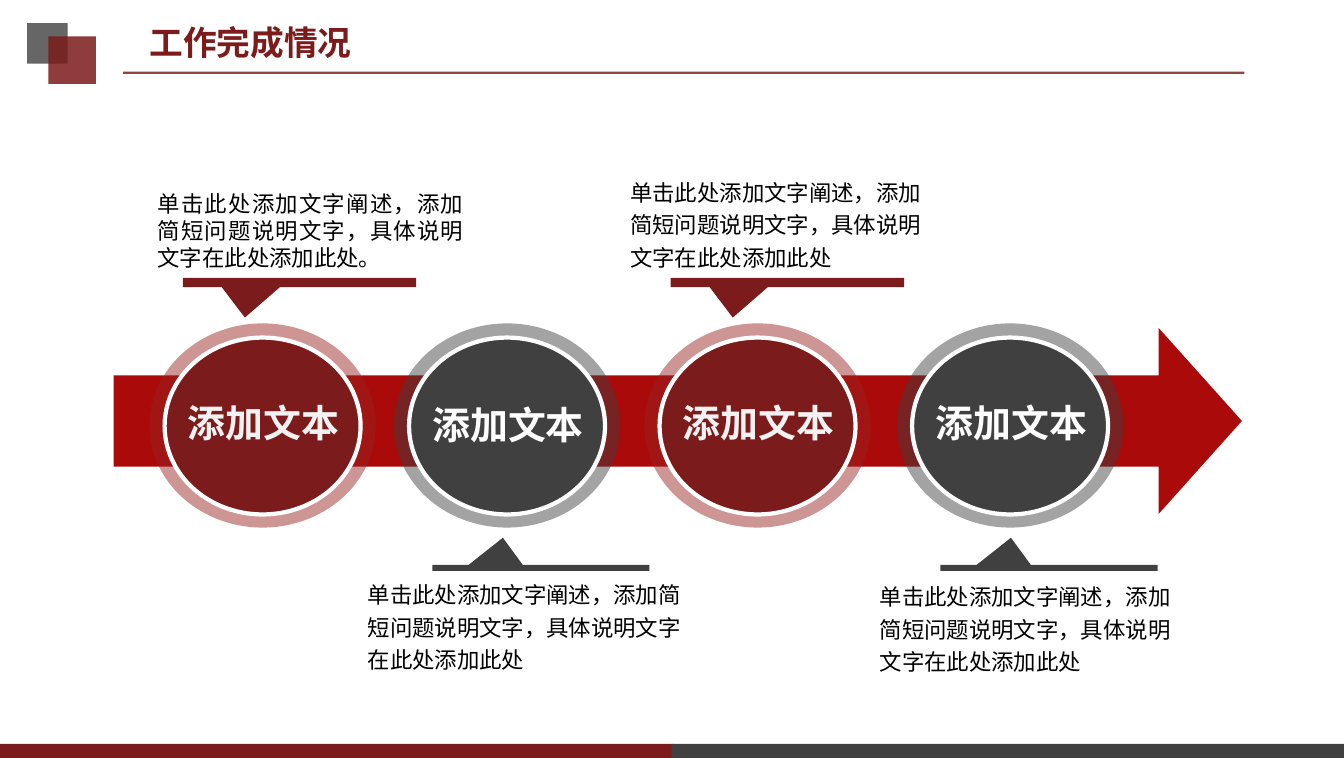
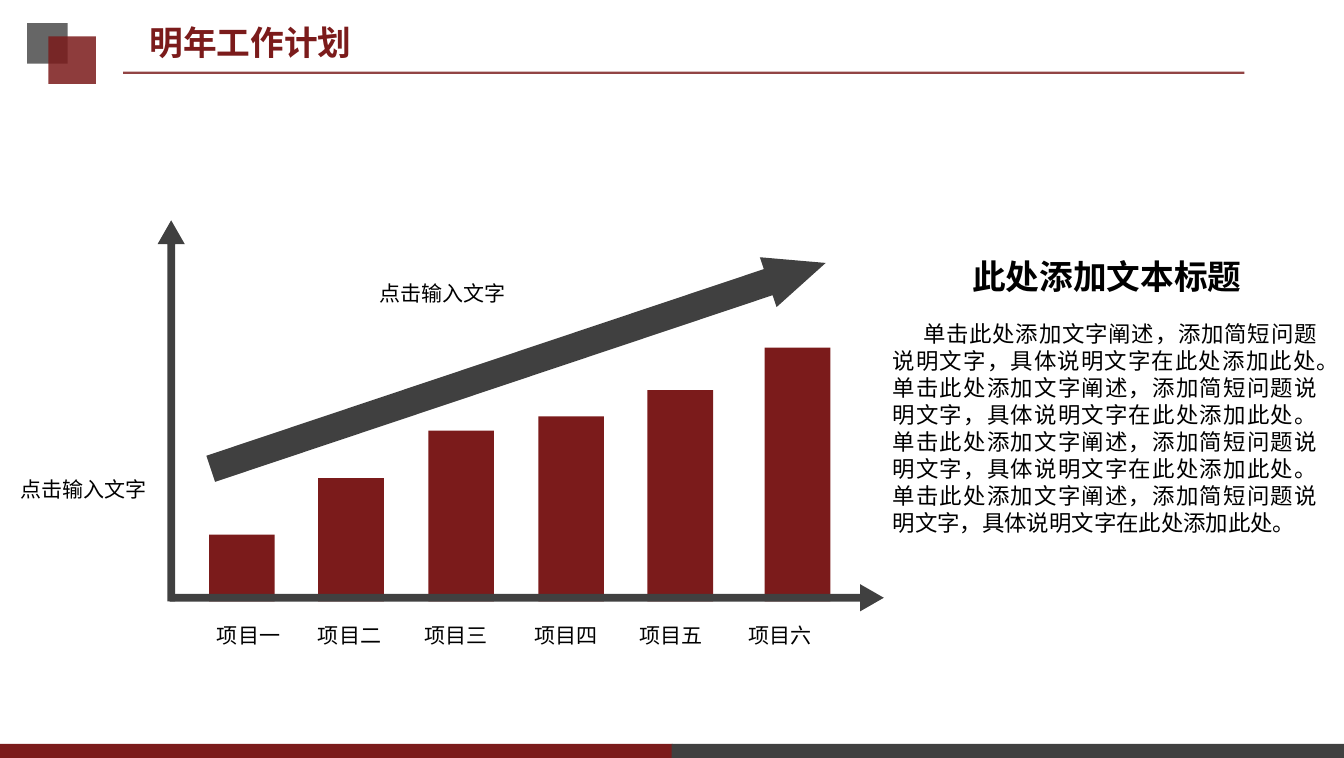
from lxml.etree import SubElement
from pptx import Presentation
from pptx.dml.color import RGBColor
from pptx.enum.shapes import MSO_CONNECTOR, MSO_SHAPE, PP_PLACEHOLDER
from pptx.enum.text import MSO_ANCHOR, MSO_AUTO_SIZE, PP_ALIGN
from pptx.oxml.ns import qn
from pptx.util import Emu, Pt

PX = 9144  # 100 px to the inch
FONT = "Noto Sans CJK SC"
COLORS = {
    "red": "7B1B1B",
    "ring red": "9A2222",
    "arrow red": "AA0A0A",
    "gray": "404040",
    "white": "FFFFFF",
    "off white": "F2F2F2",
    "black": "000000",
}


def draw(page, kind, frame, color, opacity=100, outline=None, adjust=(), rotation=0):
    """Add a filled preset shape; frame is left, top, width, height in px."""
    shape = page.shapes.add_shape(kind, *[length * PX for length in frame])
    shape.shadow.inherit = False
    shape.rotation = rotation
    for index, value in enumerate(adjust):
        shape.adjustments[index] = value
    shape.fill.solid()
    shape.fill.fore_color.rgb = RGBColor.from_string(COLORS[color])
    if opacity < 100:
        tint = shape.element.spPr.find(".//" + qn("a:srgbClr"))
        SubElement(tint, qn("a:alpha"), val=str(opacity * 1000))
    if outline:
        shape.line.color.rgb = RGBColor.from_string(COLORS[outline])
        shape.line.width = Pt(3)
    else:
        shape.line.fill.background()


def write(box, text, size, color="black", bold=False, align=PP_ALIGN.LEFT,
          anchor=MSO_ANCHOR.MIDDLE, wrap=True, inset=(10, 5), leading=None, indent=0):
    frame = box.text_frame
    frame.auto_size = MSO_AUTO_SIZE.NONE
    frame.word_wrap = wrap
    frame.vertical_anchor = anchor
    frame.margin_left = frame.margin_right = inset[0] * PX
    frame.margin_top = frame.margin_bottom = inset[1] * PX
    para = frame.paragraphs[0]
    para.alignment = align
    if leading:
        para.line_spacing = Pt(leading)
    if indent:
        para._p.get_or_add_pPr().set("indent", str(indent * PX))
    span = para.add_run()
    span.text = text
    span.font.size = Pt(size)
    span.font.bold = bold
    span.font.name = FONT
    span.font.color.rgb = RGBColor.from_string(COLORS[color])
    SubElement(span.font._element, qn("a:ea"), typeface=FONT)


deck = Presentation()
deck.slide_width, deck.slide_height = Emu(12166600), 750 * PX

# Shared layout: title position, corner squares, rule and footer band
layout = deck.slide_layouts.get_by_name("Title Only")
for holder in list(layout.placeholders):
    if holder.placeholder_format.type == PP_PLACEHOLDER.TITLE:
        holder.left, holder.top, holder.width, holder.height = [
            length * PX for length in (138, 17, 307, 50)]
    else:
        holder.element.getparent().remove(holder.element)

pages = []
for title in ("工作完成情况", "明年工作计划"):
    page = deck.slides.add_slide(layout)
    write(page.shapes.title, title, 24, "red", bold=True)
    pages.append(page)
progress, plan = pages

draw(progress, MSO_SHAPE.RECTANGLE, (0, 736, 666, 14), "red")
draw(progress, MSO_SHAPE.RECTANGLE, (665, 736, 666, 14), "gray")
draw(progress, MSO_SHAPE.RECTANGLE, (27, 23, 40, 40), "gray", opacity=80)
draw(progress, MSO_SHAPE.RECTANGLE, (48, 36, 47, 47), "red", opacity=85)
rule = progress.shapes.add_connector(
    MSO_CONNECTOR.STRAIGHT, 122 * PX, 72 * PX, 1232 * PX, 72 * PX)
rule.line.width = Pt(1.75)
rule.line.color.rgb = RGBColor.from_string(COLORS["red"])
SubElement(rule.element.spPr.find(".//" + qn("a:srgbClr")), qn("a:alpha"), val="81000")
SubElement(rule.element.spPr, qn("a:effectLst"))
for shape in list(progress.shapes):
    if not shape.is_placeholder:
        layout.shapes.element.append(shape.element)

# Work progress: four stages on one arrow
draw(progress, MSO_SHAPE.DOWN_ARROW, (579, -142, 184, 1117), "arrow red",
     adjust=(0.491, 0.448), rotation=270)
styles = {
    "red": dict(ring="ring red", label="off white", bar=(275, 231, 9),
                pointer=(-0.234, 3.85)),
    "gray": dict(ring="gray", label="white", bar=(559, 215, 6),
                 pointer=(-0.175, -5)),
}
note = "单击此处添加文字阐述，添加简短问题说明文字，具体说明文字在此处添加此处"
stages = [  # color, ring left, label top, bar left, note frame, note format
    ("red", 148, 382, 181, (143, 181, 329, 94),
     dict(text=note + "。", leading=19.2, align=PP_ALIGN.JUSTIFY)),
    ("gray", 390, 384, 428, (351, 563, 351, 110), dict(text=note, leading=23)),
    ("red", 638, 382, 664, (611, 165, 334, 110), dict(text=note, leading=23)),
    ("gray", 888, 382, 931, (858, 565, 320, 110), dict(text=note, leading=23)),
]
for color, left, label_top, bar_left, note_frame, note_format in stages:
    style = styles[color]
    draw(progress, MSO_SHAPE.OVAL, (left, 320, 224, 202), style["ring"], opacity=48)
    draw(progress, MSO_SHAPE.OVAL, (left + 15, 334, 194, 175), color, outline="white")
    label = progress.shapes.add_textbox(
        (left - 11) * PX, label_top * PX, 248 * PX, 72 * PX)
    write(label, "添加文本", 27, style["label"], bold=True, align=PP_ALIGN.CENTER)
    bar_top, bar_width, bar_height = style["bar"]
    draw(progress, MSO_SHAPE.RECTANGULAR_CALLOUT,
         (bar_left, bar_top, bar_width, bar_height), color, adjust=style["pointer"])
    box = progress.shapes.add_textbox(*[length * PX for length in note_frame])
    write(box, size=16, anchor=MSO_ANCHOR.TOP, inset=(13, 7), **note_format)

# Plan for next year: rising columns between two axis arrows
BASELINE = 595
draw(plan, MSO_SHAPE.RIGHT_ARROW, (-19, 393, 377, 27), "gray",
     adjust=(0.285, 0.872), rotation=270)
columns = [  # name, column left, column top, name left
    ("项目一", 207, 529, 205),
    ("项目二", 315, 473, 305),
    ("项目三", 424, 426, 410),
    ("项目四", 533, 412, 519),
    ("项目五", 641, 386, 623),
    ("项目六", 757, 344, 731),
]
captions = [("点击输入文字", 10, 466, 146), ("点击输入文字", 366, 272, 146)]
for name, left, top, name_left in columns:
    draw(plan, MSO_SHAPE.RECTANGLE, (left, top, 65, BASELINE - top), "red")
    captions.append((name, name_left, 611, 83))
draw(plan, MSO_SHAPE.RIGHT_ARROW, (192, 336, 642, 52), "gray",
     adjust=(0.524, 1.153), rotation=341.5)
draw(plan, MSO_SHAPE.RIGHT_ARROW, (168, 578, 707, 27), "gray", adjust=(0.285, 0.871))
for text, left, top, width in captions:
    box = plan.shapes.add_textbox(left * PX, top * PX, width * PX, 35 * PX)
    write(box, text, 15, wrap=False)

heading = plan.shapes.add_textbox(928 * PX, 249 * PX, 314 * PX, 49 * PX)
write(heading, "此处添加文本标题", 24, bold=True, align=PP_ALIGN.RIGHT, inset=(13, 6))
body = plan.shapes.add_textbox(874 * PX, 312 * PX, 440 * PX, 252 * PX)
write(body, (note + "。") * 4, 16, align=PP_ALIGN.JUSTIFY, anchor=MSO_ANCHOR.TOP,
      leading=19.2, indent=30)

deck.save("out.pptx")
